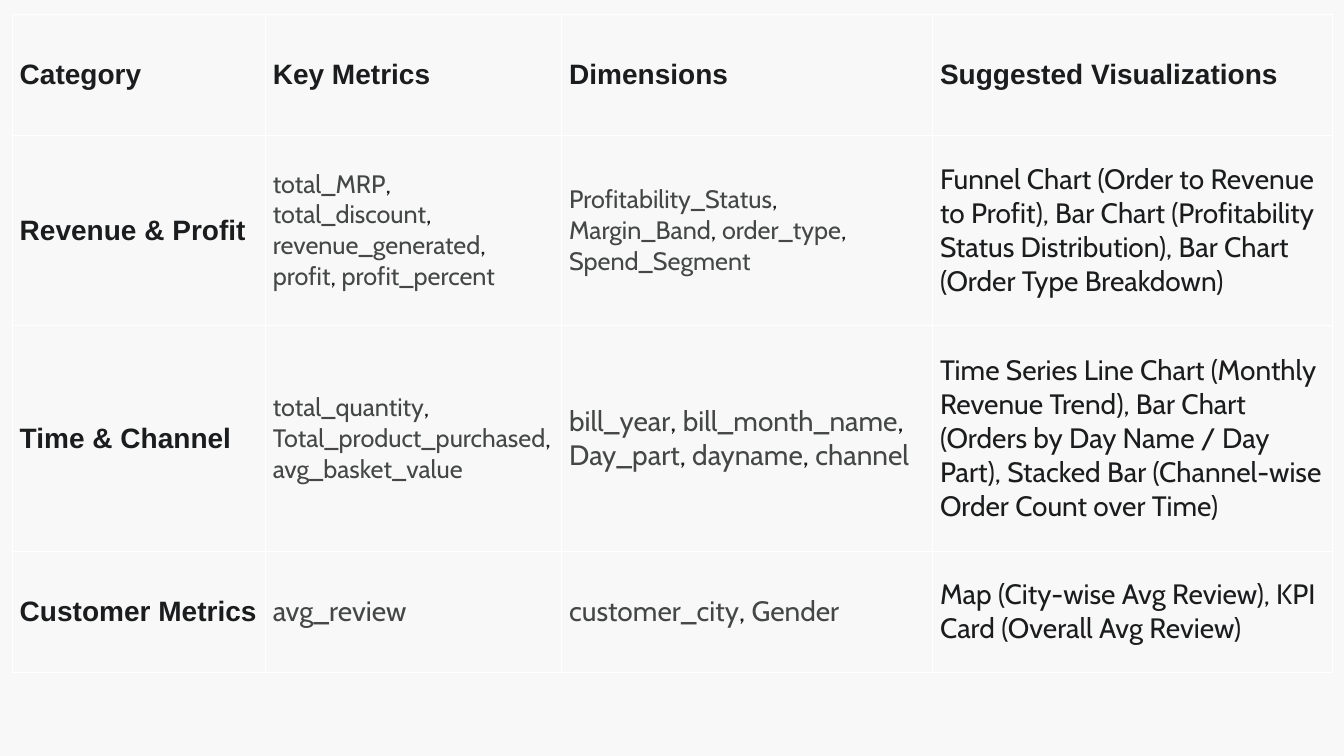
from lxml.etree import SubElement
from pptx import Presentation
from pptx.dml.color import RGBColor
from pptx.enum.text import MSO_ANCHOR as Anchor
from pptx.oxml.ns import qn
from pptx.util import Inches, Pt

PAPER = RGBColor(0xF8, 0xF8, 0xF8)
INK = RGBColor(0x1B, 0x1C, 0x1D)
FIELD = RGBColor(0x44, 0x47, 0x46)
RULE = RGBColor(0xFF, 0xFF, 0xFF)

COLUMN_SHARES = [18.83, 22.05, 27.6, 29.78]
ROW_SHARES = [16, 25.2, 29.87, 16]

HEADINGS = ["Category", "Key Metrics", "Dimensions", "Suggested Visualizations"]
CATEGORIES = [
    ("Revenue & Profit",
     (["total_MRP", "total_discount", "revenue_generated", "profit", "profit_percent"], 18),
     (["Profitability_Status", "Margin_Band", "order_type", "Spend_Segment"], 18),
     "Funnel Chart (Order to Revenue to Profit), Bar Chart (Profitability Status "
     "Distribution), Bar Chart (Order Type Breakdown)"),
    ("Time & Channel",
     (["total_quantity", "Total_product_purchased", "avg_basket_value"], 18),
     (["bill_year", "bill_month_name", "Day_part", "dayname", "channel"], 20),
     "Time Series Line Chart (Monthly Revenue Trend), Bar Chart (Orders by Day Name "
     "/ Day Part), Stacked Bar (Channel-wise Order Count over Time)"),
    ("Customer Metrics",
     (["avg_review"], 20),
     (["customer_city", "Gender"], 20),
     "Map (City-wise Avg Review), KPI Card (Overall Avg Review)"),
]


class MetricsPage:
    heading_font = "Arial"
    body_font = "Cabin"
    text_size = 20
    rule_width = 0.6

    def __init__(self, deck):
        self.deck = deck
        self.page = deck.slides.add_slide(deck.slide_layouts[6])
        fill = self.page.background.fill
        fill.solid()
        fill.fore_color.rgb = PAPER

    def across(self, percent):
        return round(self.deck.slide_width * percent / 100)

    def down(self, percent):
        return round(self.deck.slide_height * percent / 100)

    def table(self, left, top, column_shares, row_shares):
        frame = self.page.shapes.add_table(
            len(row_shares), len(column_shares), self.across(left), self.down(top),
            self.across(sum(column_shares)), self.down(sum(row_shares)))
        table = frame.table
        table.first_row = table.horz_banding = False
        for column, share in zip(table.columns, column_shares):
            column.width = self.across(share)
        for row, share in zip(table.rows, row_shares):
            row.height = self.down(share)
        for cell in table.iter_cells():
            self.cell_style(cell)
        return table

    def cell_style(self, cell):
        cell.vertical_anchor = Anchor.MIDDLE
        cell.margin_left = cell.margin_right = self.across(0.57)
        cell.margin_top = cell.margin_bottom = self.down(0.8)
        properties = cell._tc.get_or_add_tcPr()
        for side in ("a:lnL", "a:lnR", "a:lnT", "a:lnB"):
            line = SubElement(properties, qn(side), w=str(Pt(self.rule_width)))
            solid = SubElement(line, qn("a:solidFill"))
            SubElement(solid, qn("a:srgbClr"), val=str(RULE))
        cell.fill.background()

    def span_style(self, span, font, size, color, bold=False):
        span.font.name = font
        span.font.size = Pt(size)
        span.font.color.rgb = color
        span.font.bold = bold

    def heading(self, cell, text):
        cell.text_frame.text = text
        span = cell.text_frame.paragraphs[0].runs[0]
        self.span_style(span, self.heading_font, self.text_size, INK, True)

    def body(self, cell, text):
        cell.text_frame.text = text
        span = cell.text_frame.paragraphs[0].runs[0]
        self.span_style(span, self.body_font, self.text_size, INK)

    def fields(self, cell, names, size):
        para = cell.text_frame.paragraphs[0]
        for position, name in enumerate(names):
            pieces = [(", ", INK)] if position else []
            for text, color in pieces + [(name, FIELD)]:
                span = para.add_run()
                span.text = text
                self.span_style(span, self.body_font, size, color)


def main():
    deck = Presentation()
    deck.slide_width, deck.slide_height = Inches(13.33), Inches(7.5)
    page = MetricsPage(deck)
    table = page.table(0.9, 1.87, COLUMN_SHARES, ROW_SHARES)
    for column, text in enumerate(HEADINGS):
        page.heading(table.cell(0, column), text)
    for row, (category, metrics, dimensions, charts) in enumerate(CATEGORIES, 1):
        page.heading(table.cell(row, 0), category)
        page.fields(table.cell(row, 1), *metrics)
        page.fields(table.cell(row, 2), *dimensions)
        page.body(table.cell(row, 3), charts)
    deck.save("out.pptx")


if __name__ == "__main__":
    main()
